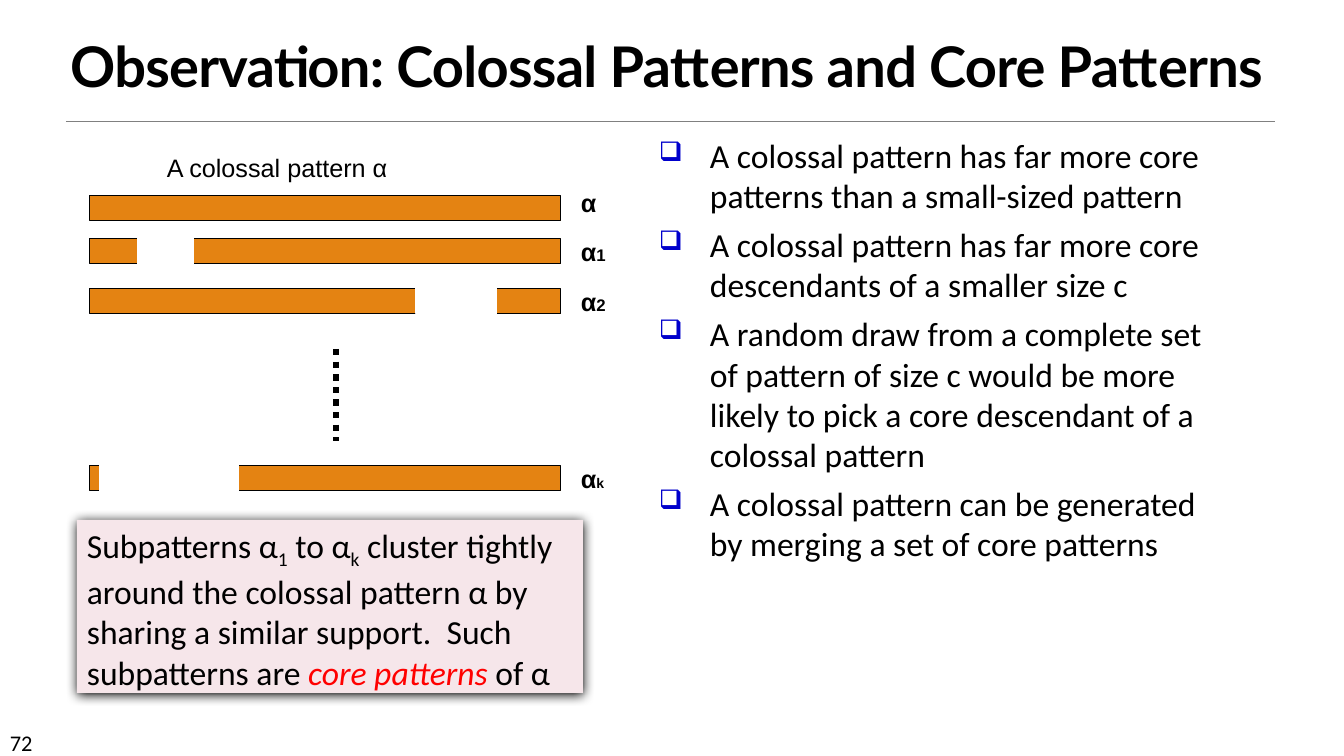
from lxml import etree
from pptx import Presentation
from pptx.dml.color import RGBColor
from pptx.enum.dml import MSO_LINE
from pptx.enum.shapes import MSO_CONNECTOR, MSO_SHAPE
from pptx.enum.text import MSO_ANCHOR, MSO_AUTO_SIZE, PP_ALIGN
from pptx.oxml import parse_xml
from pptx.oxml.ns import nsdecls, qn
from pptx.util import Pt

PX = 9144000 / 1008
RECT, STRAIGHT = MSO_SHAPE.RECTANGLE, MSO_CONNECTOR.STRAIGHT
DOTS, NO_FIT = MSO_LINE.ROUND_DOT, MSO_AUTO_SIZE.NONE
TOP, BOTTOM = MSO_ANCHOR.TOP, MSO_ANCHOR.BOTTOM
LEFT, CENTER = PP_ALIGN.LEFT, PP_ALIGN.CENTER
COLORS = {"ink": "000000", "paper": "FFFFFF", "rule": "808080", "bar": "E48312",
          "note": "F6E6EA", "accent": "FF0000", "bullet": "0000CC"}

TITLE = "Observation: Colossal Patterns and Core Patterns"
POINTS = [
    "A colossal pattern has far more core patterns than a small-sized pattern",
    "A colossal pattern has far more core descendants of a smaller size c",
    "A random draw from a complete set of pattern of size c would be more "
    "likely to pick a core descendant of a colossal pattern",
    "A colossal pattern can be generated by merging a set of core patterns",
]
SUB = {"baseline": "-25000"}
NOTE = [
    ("Subpatterns α", {}, {}), ("1", {}, SUB), (" to α", {}, {}), ("k", {}, SUB),
    (" cluster tightly around the colossal pattern α by sharing a similar support.  "
     "Such subpatterns are ", {}, {}),
    ("core patterns ", {"color": "accent", "italic": True}, {}), ("of α", {}, {}),
]
ROWS = [
    {"bar": 49, "label": 35, "sub": "", "size": 12, "gap": None},
    {"bar": 92, "label": 84, "sub": "1", "size": 12, "gap": (48, 91, 56, 27)},
    {"bar": 142, "label": 134, "sub": "2", "size": 12, "gap": (326, 139, 81, 28)},
    {"bar": 319, "label": 311, "sub": "k", "size": 10, "gap": (10, 311, 139, 42)},
]
BODY = {"name": "Calibri", "size": Pt(24)}
LABEL = {"name": "Arial", "size": Pt(18)}


def emu(*lengths):
    """Turn px lengths into EMU."""
    return [round(n * PX) for n in lengths]


def rgb(name):
    """Look up a named colour."""
    return RGBColor.from_string(COLORS[name])


def style(font, color="ink", **values):
    """Set font attributes and colour."""
    for name, value in values.items():
        setattr(font, name, value)
    font.color.rgb = rgb(color)


def add_run(p, text, fmt, attrs=None):
    """Append a formatted run with optional raw run properties."""
    r = p.add_run()
    r.text = text
    style(r.font, **fmt)
    for name, value in (attrs or {}).items():
        r.font._element.set(name, value)


def set_frame(tf, anchor=TOP):
    """Prepare a wrapping text frame of fixed size."""
    for name, value in {"word_wrap": True, "auto_size": NO_FIT,
                        "vertical_anchor": anchor}.items():
        setattr(tf, name, value)


def text_box(s, box):
    """Add an empty wrapping text box."""
    tf = s.shapes.add_textbox(*emu(*box)).text_frame
    set_frame(tf)
    return tf


def rect(s, box, fill, line=None):
    """Add a flat rectangle."""
    sp = s.shapes.add_shape(RECT, *emu(*box))
    sp.shadow.inherit = False
    sp.fill.solid()
    sp.fill.fore_color.rgb = rgb(fill)
    if line:
        sp.line.color.rgb = rgb(line)
        sp.line.width = Pt(0.75)
    else:
        sp.line.fill.background()
    return sp


def rule(s, ends, color, width, dash=None):
    """Add a straight line without shadow."""
    cx = s.shapes.add_connector(STRAIGHT, *emu(*ends))
    cx.line.color.rgb = rgb(color)
    cx.line.width = Pt(width)
    cx.line.dash_style = dash
    etree.SubElement(cx._element.spPr, qn("a:effectLst"))


def heading(s, x, y, w, h):
    """Place the title and the rule below it."""
    sp = s.shapes.title
    sp.left, sp.top, sp.width, sp.height = emu(x, y, w, h)
    set_frame(sp.text_frame, BOTTOM)
    p = sp.text_frame.paragraphs[0]
    p.alignment, p.line_spacing = CENTER, 0.85
    add_run(p, TITLE, {"name": "Lato", "size": Pt(40), "bold": True}, {"spc": "-50"})
    rule(s, (x + 77, y + h + 17, x + w - 69, y + h + 17), "rule", 0.5)


def pattern_diagram(s, x, y, w):
    """Draw the colossal pattern and its gapped subpatterns."""
    caption = text_box(s, (x + 67, y, 392, 40))
    add_run(caption.paragraphs[0], "A colossal pattern α", LABEL)
    for row in ROWS:
        rect(s, (x, y + row["bar"], w, 25), "bar", "ink")
        if row["gap"]:
            dx, dy, gw, gh = row["gap"]
            rect(s, (x + dx, y + dy, gw, gh), "paper", "paper")
        p = text_box(s, (x + w + 10, y + row["label"], 90, 40)).paragraphs[0]
        bold = LABEL | {"bold": True}
        add_run(p, "α", bold)
        if row["sub"]:
            add_run(p, row["sub"], bold | {"size": Pt(row["size"])})
    rule(s, (x + 246, y + 202, x + 246, y + 294), "ink", 4.5, DOTS)


def note(s, *box):
    """Place the shaded note about core patterns."""
    sp = rect(s, box, "note")
    effects = sp._element.spPr.find(qn("a:effectLst"))
    effects.append(parse_xml(
        f'<a:outerShdw {nsdecls("a")} blurRad="{Pt(8.5)}" dist="{Pt(1)}" dir="5400000" '
        f'rotWithShape="0"><a:srgbClr val="{COLORS["ink"]}"/></a:outerShdw>'))
    set_frame(sp.text_frame)
    p = sp.text_frame.paragraphs[0]
    p.alignment = LEFT
    for text, fmt, attrs in NOTE:
        add_run(p, text, BODY | fmt, attrs)


def points(s, *box):
    """Place the bulleted list."""
    tf = text_box(s, box)
    indent = emu(51)[0]
    for i, text in enumerate(POINTS):
        p = tf.add_paragraph() if i else tf.paragraphs[0]
        pPr = p._p.get_or_add_pPr()
        pPr.set("marL", str(indent))
        pPr.set("indent", str(-indent))
        color = etree.SubElement(pPr, qn("a:buClr"))
        etree.SubElement(color, qn("a:srgbClr"), val=COLORS["bullet"])
        etree.SubElement(pPr, qn("a:buSzPct"), val="80000")
        etree.SubElement(pPr, qn("a:buChar"), char="❑")
        if i:
            p.space_before = Pt(6)
        add_run(p, text, BODY)


def page_number(s, *box):
    """Place the page number."""
    add_run(text_box(s, box).paragraphs[0], "72", BODY | {"size": Pt(16)})


def main():
    """Build and save the slide."""
    prs = Presentation()
    prs.slide_width, prs.slide_height = emu(1344, 756)
    s = prs.slides.add_slide(prs.slide_layouts[5])
    heading(s, -11, 25, 1355, 79)
    pattern_diagram(s, 90, 147, 471)
    note(s, 77, 520, 506, 173)
    points(s, 649, 130, 583, 463)
    page_number(s, 0, 724, 118, 30)
    prs.save("out.pptx")


if __name__ == "__main__":
    main()
